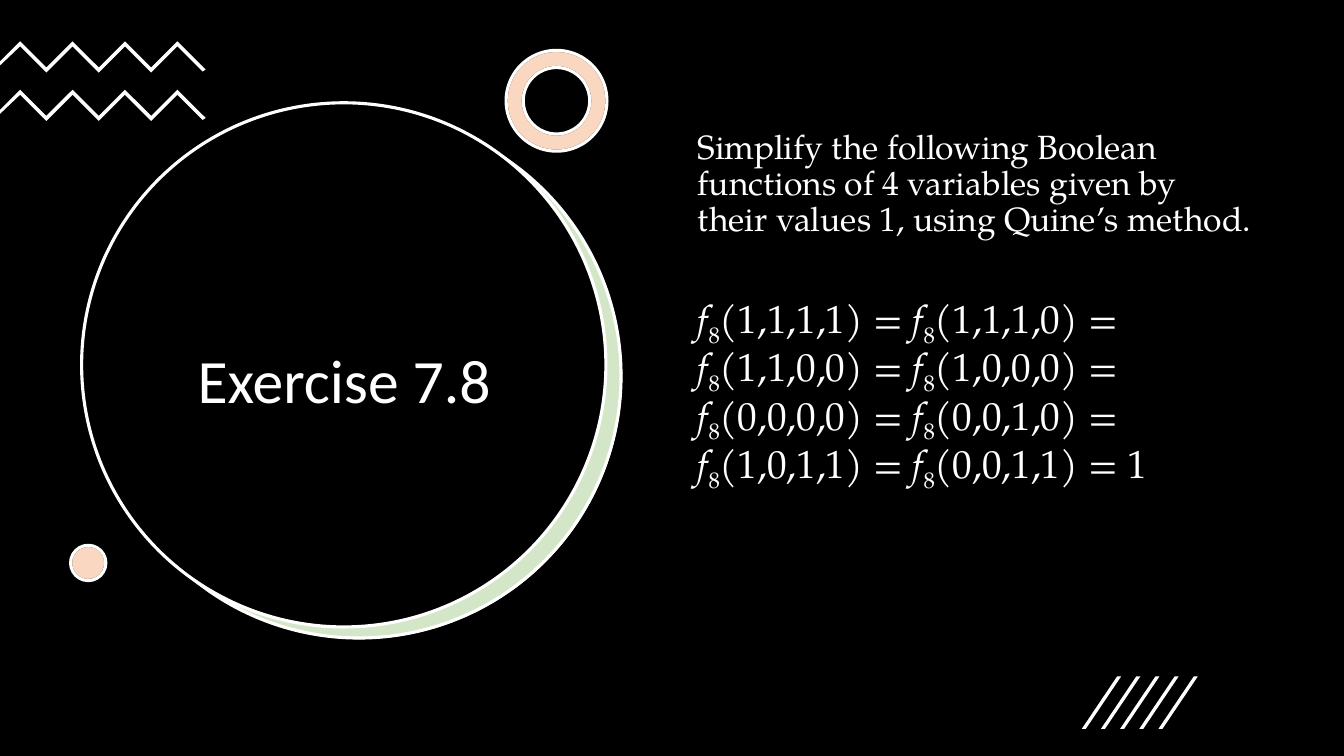
from lxml import etree
from pptx import Presentation
from pptx.dml.color import RGBColor
from pptx.enum.shapes import MSO_SHAPE
from pptx.enum.text import MSO_ANCHOR, MSO_AUTO_SIZE, PP_ALIGN
from pptx.oxml.ns import qn
from pptx.util import Inches, Pt

WHITE, BLACK, GREEN, ORANGE = "FFFFFF", "000000", "70AD47", "ED7D31"


def paint(shape, fill, line=None, opacity=100):
    """Give a shape its fill, outline and opacity in percent, without a shadow."""
    shape.shadow.inherit = False
    shape.fill.solid()
    shape.fill.fore_color.rgb = RGBColor.from_string(fill)
    if opacity < 100:
        color = shape.fill._xPr.find(qn("a:solidFill"))[0]
        etree.SubElement(color, qn("a:alpha")).set("val", str(opacity * 1000))
    if line:
        shape.line.color.rgb = RGBColor.from_string(line)
        shape.line.width = Pt(2.25)
    else:
        shape.line.fill.background()


def add_outline(shapes, points):
    """Draw a closed white outline through points given in inches."""
    corners = [(Inches(x), Inches(y)) for x, y in points]
    builder = shapes.build_freeform(*corners[0])
    builder.add_line_segments(corners[1:], close=True)
    paint(builder.convert_to_shape(), WHITE)


presentation = Presentation()
presentation.slide_width = Inches(13.33)
presentation.slide_height = Inches(7.5)
slide = presentation.slides.add_slide(presentation.slide_layouts[1])
shapes = slide.shapes
title, body = slide.placeholders

backdrop = shapes.add_shape(MSO_SHAPE.RECTANGLE, 0, 0, Inches(13.33), Inches(7.5))
paint(backdrop, BLACK)

# Large circle with its green crescent
for left, top, fill, line, opacity in [
    (0.97, 1.14, WHITE, None, 100),
    (0.96, 1.13, GREEN, WHITE, 30),
    (0.81, 1.02, BLACK, WHITE, 100),
]:
    circle = shapes.add_shape(
        MSO_SHAPE.OVAL, Inches(left), Inches(top), Inches(5.2), Inches(5.2))
    paint(circle, fill, line, opacity)

# Title, placed in front of the circle
shapes._spTree.append(title._element)
title.left, title.top = Inches(1.21), Inches(2.05)
title.width, title.height = Inches(4.41), Inches(3.52)
title.text_frame.text = "Exercise 7.8"
title.text_frame.vertical_anchor = MSO_ANCHOR.MIDDLE
heading = title.text_frame.paragraphs[0]
heading.alignment = PP_ALIGN.CENTER
heading.line_spacing = 0.9
heading.font.name = "Calibri"
heading.font.size = Pt(44)
heading.font.color.rgb = RGBColor.from_string(WHITE)

# Zigzag bands
zigzags = shapes.add_group_shape()
for top in (0.41, 0.89):
    upper = [(0.2 + 0.26 * i, top + 0.26 * (i % 2)) for i in range(7)]
    lower = [(x, y + 0.05) for x, y in reversed(upper)]
    right_end = [(2.04, top + 0.28), (2.01, top + 0.3)]
    left_end = [(0, top + 0.24), (0, top + 0.2)]
    add_outline(zigzags.shapes, upper + right_end + lower + left_end)

# Orange ring and dot, each tinted over a white base
for preset, left, top, size in [
    (MSO_SHAPE.DONUT, 5.02, 0.5, 1),
    (MSO_SHAPE.OVAL, 0.7, 5.41, 0.35),
]:
    for fill, line, opacity in [(WHITE, BLACK, 100), (ORANGE, WHITE, 30)]:
        accent = shapes.add_shape(
            preset, Inches(left), Inches(top), Inches(size), Inches(size))
        if preset == MSO_SHAPE.DONUT:
            accent.adjustments[0] = 0.17
        paint(accent, fill, line, opacity)

# Exercise text
shapes._spTree.append(body._element)
body.left, body.top = Inches(6.82), Inches(1.24)
body.width, body.height = Inches(5.71), Inches(4.76)
frame = body.text_frame
frame.word_wrap = True
frame.auto_size = MSO_AUTO_SIZE.NONE
frame.vertical_anchor = MSO_ANCHOR.TOP
task = frame.paragraphs[0]
values = frame.add_paragraph()
for paragraph, size, space in [(task, 24, 0), (values, 28, 10)]:
    properties = paragraph._p.get_or_add_pPr()
    properties.set("marL", "0")
    properties.set("indent", "0")
    etree.SubElement(properties, qn("a:buNone"))
    paragraph.line_spacing = 0.9
    paragraph.space_before = Pt(space)
    paragraph.font.name = "TeX Gyre Pagella"
    paragraph.font.size = Pt(size)
    paragraph.font.color.rgb = RGBColor.from_string(WHITE)

task.add_run().text = (
    "Simplify the following Boolean functions of 4 variables given by "
    "their values 1, using Quine’s method.")
values.add_line_break()
for arguments in [
    "(1,1,1,1) = ", "(1,1,1,0) = ", "(1,1,0,0) = ", "(1,0,0,0) = ",
    "(0,0,0,0) = ", "(0,0,1,0) = ", "(1,0,1,1) = ", "(0,0,1,1) = 1",
]:
    function = values.add_run()
    function.text = "f"
    function.font.italic = True
    index = values.add_run()
    index.text = "8"
    index._r.get_or_add_rPr().set("baseline", "-25000")
    values.add_run().text = arguments

# Slanted strokes
strokes = shapes.add_group_shape()
for i in range(5):
    left = 10.73 + 0.19 * i
    add_outline(strokes.shapes, [
        (left + 0.04, 7.23), (left, 7.23), (left + 0.35, 6.71), (left + 0.39, 6.71)])

presentation.save("out.pptx")
